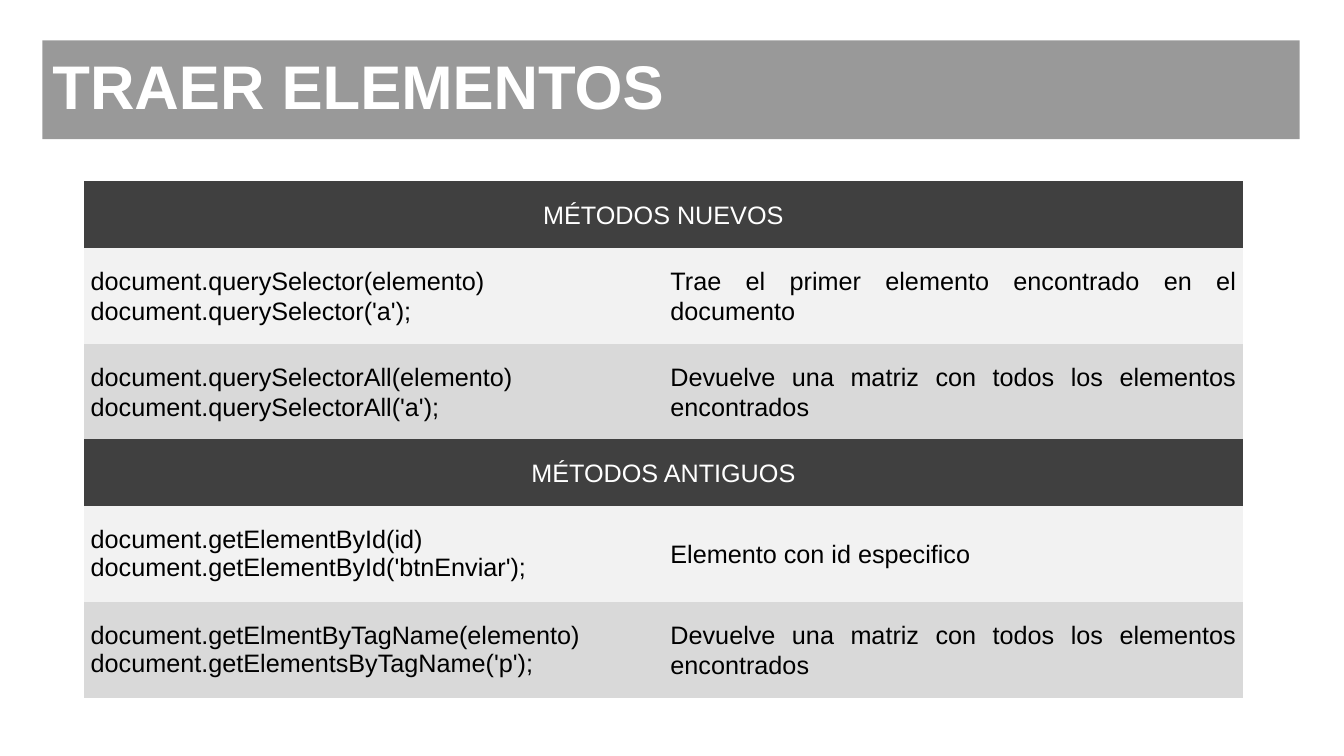
import pptx
import pptx.dml.color
import pptx.enum.text
import pptx.oxml
import pptx.oxml.ns
import pptx.util

PX = 9144
FONT = "Arial"
LEFT = pptx.enum.text.PP_ALIGN.LEFT
CENTER = pptx.enum.text.PP_ALIGN.CENTER
JUSTIFY = pptx.enum.text.PP_ALIGN.JUSTIFY
MIDDLE = pptx.enum.text.MSO_ANCHOR.MIDDLE
NO_GRID_STYLE = "{2D5ABB26-0587-4C30-8999-92F81FD0307C}"
HEADER_FILL = "404040"
BAND_FILLS = ["F2F2F2", "D9D9D9"]

SECTIONS = [
    ("MÉTODOS NUEVOS", JUSTIFY, 1.07, [
        (["document.querySelector(elemento)", "document.querySelector('a');"],
         "Trae el primer elemento encontrado en el documento"),
        (["document.querySelectorAll(elemento)", "document.querySelectorAll('a');"],
         "Devuelve una matriz con todos los elementos encontrados"),
    ]),
    ("MÉTODOS ANTIGUOS", LEFT, 1.0, [
        (["document.getElementById(id)", "document.getElementById('btnEnviar');"],
         "Elemento con id especifico"),
        (["document.getElmentByTagName(elemento)", "document.getElementsByTagName('p');"],
         "Devuelve una matriz con todos los elementos encontrados"),
    ]),
]


def px(n):
    """Turn a length in px into EMU."""
    return pptx.util.Emu(n * PX)


def set_fill(obj, color):
    """Give a shape or cell a solid fill from a hex string."""
    obj.fill.solid()
    obj.fill.fore_color.rgb = pptx.dml.color.RGBColor.from_string(color)


def write(tf, lines, size=18, color="000000", bold=False, align=LEFT, spacing=1.07):
    """Write one paragraph per line into a text frame."""
    for i, line in enumerate(lines):
        p = tf.add_paragraph() if i else tf.paragraphs[0]
        p.alignment = align
        p.line_spacing = spacing
        p.space_before = p.space_after = pptx.util.Pt(0)
        r = p.add_run()
        r.text = line
        r.font.name = FONT
        r.font.size = pptx.util.Pt(size)
        r.font.bold = bold
        r.font.color.rgb = pptx.dml.color.RGBColor.from_string(color)


def add_title(slide, text, x, y, w, h):
    """Place the title on a translucent black band."""
    sp = slide.shapes.title
    sp.left, sp.top, sp.width, sp.height = px(x), px(y), px(w), px(h)
    set_fill(sp, "000000")
    clr = sp.fill._xPr.find(".//" + pptx.oxml.ns.qn("a:srgbClr"))
    pptx.oxml.ns.qn("a:alpha")
    alpha = clr.makeelement(pptx.oxml.ns.qn("a:alpha"), {"val": "40000"})
    clr.append(alpha)
    tf = sp.text_frame
    tf.auto_size = pptx.enum.text.MSO_AUTO_SIZE.NONE
    tf.word_wrap = True
    tf.vertical_anchor = MIDDLE
    write(tf, [text], size=44, color="FFFFFF", bold=True, spacing=0.9)


def fill_cell(cell, lines, fill, **fmt):
    """Fill a table cell and write its centred-in-height text."""
    set_fill(cell, fill)
    cell.vertical_anchor = MIDDLE
    cell.margin_left = cell.margin_right = px(7)
    cell.margin_top = cell.margin_bottom = 0
    write(cell.text_frame, lines, **fmt)


def add_methods_table(slide, sections, x, y, w, header_h, row_h):
    """Build the methods table, with a merged header row for each section."""
    heights = [h for s in sections for h in [header_h] + [row_h] * len(s[3])]
    frame = slide.shapes.add_table(len(heights), 2, px(x), px(y), px(w), px(sum(heights)))
    table = frame.table
    table.first_row = table.horz_banding = False
    table._tbl.tblPr.find(pptx.oxml.ns.qn("a:tableStyleId")).text = NO_GRID_STYLE
    for row, h in zip(table.rows, heights):
        row.height = px(h)
    i = 0
    for heading, align, spacing, methods in sections:
        table.cell(i, 0).merge(table.cell(i, 1))
        fill_cell(table.cell(i, 0), [heading], HEADER_FILL, color="FFFFFF", align=CENTER)
        for (code, meaning), fill in zip(methods, BAND_FILLS):
            i += 1
            fill_cell(table.cell(i, 0), code, fill, align=align, spacing=spacing)
            fill_cell(table.cell(i, 1), [meaning], fill, align=JUSTIFY)
        i += 1


def main():
    """Build and save the slide."""
    prs = pptx.Presentation()
    prs.slide_width, prs.slide_height = px(1333), px(750)
    slide = prs.slides.add_slide(prs.slide_layouts[5])
    add_methods_table(slide, SECTIONS, 83, 180, 1150, 66, 95)
    add_title(slide, "TRAER ELEMENTOS", 42, 40, 1247, 98)
    prs.save("out.pptx")


if __name__ == "__main__":
    main()
